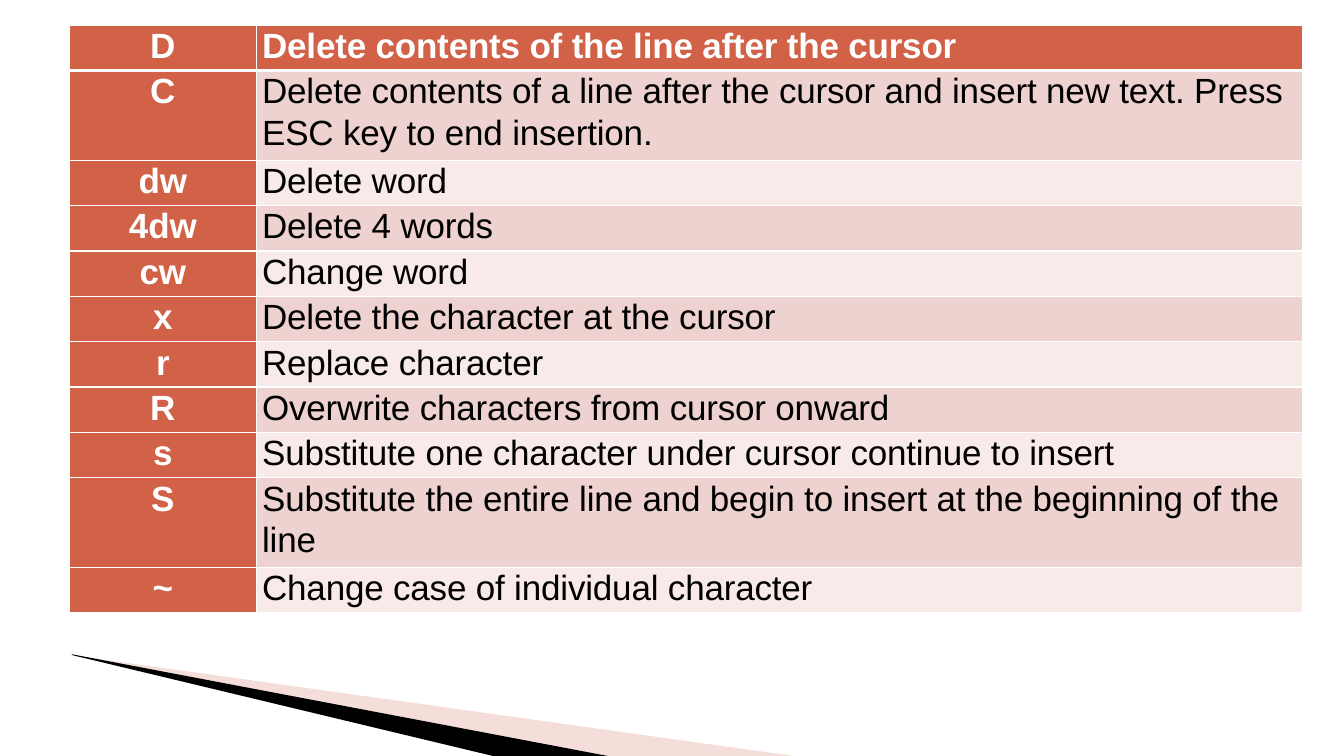
from dataclasses import dataclass

from lxml import etree
from pptx import Presentation
from pptx import util as u
from pptx.dml.color import RGBColor
from pptx.enum import text
from pptx.oxml import ns


@dataclass(frozen=True)
class Theme:
    font: str = "Arial"
    size: float = 25
    line_height: float = 29.1
    tracking: int = -10  # hundredths of a point
    accent: str = "D16248"
    bands: tuple = ("F7EAE9", "EDD2CF")
    white: str = "FFFFFF"
    black: str = "000000"
    wedge: str = "E7ACA3"


THEME = Theme()

# Each command with the lines of its description
COMMANDS = [
    ("D", ["Delete contents of the line after the cursor"]),
    ("C", ["Delete contents of a line after the cursor and insert new text. Press",
           "ESC key to end insertion."]),
    ("dw", ["Delete word"]),
    ("4dw", ["Delete 4 words"]),
    ("cw", ["Change word"]),
    ("x", ["Delete the character at the cursor"]),
    ("r", ["Replace character"]),
    ("R", ["Overwrite characters from cursor onward"]),
    ("s", ["Substitute one character under cursor continue to insert"]),
    ("S", ["Substitute the entire line and begin to insert at the beginning of the",
           "line"]),
    ("~", ["Change case of individual character"]),
]
COLUMN_WIDTHS = (1.85, 10.38)
ROW_HEIGHTS = {1: 0.45, 2: 0.89}  # by number of text lines

# Corner wedges, as closed outlines
PALE_WEDGE = [
    [(0.85, 6.52), (6.03, 7.5), (7.87, 7.5)],
    [(0.73, 6.5), (0.73, 6.51), (0.85, 6.52)],
]
DARK_WEDGE = [[(0.71, 6.49), (0.72, 6.5), (4.89, 7.5), (6.03, 7.5)]]


def set_all(obj, formats):
    for name, value in formats.items():
        setattr(obj, name, value)


def add_wedge(s, outlines, color, opacity=None):
    outlines = [[(u.Inches(x), u.Inches(y)) for x, y in o] for o in outlines]
    builder = s.shapes.build_freeform(*outlines[0][0])
    builder.add_line_segments(outlines[0][1:], close=True)
    for outline in outlines[1:]:
        builder.move_to(*outline[0])
        builder.add_line_segments(outline[1:], close=True)
    sp = builder.convert_to_shape()
    sp.shadow.inherit = False
    sp.line.fill.background()
    sp.fill.solid()
    sp.fill.fore_color.rgb = RGBColor.from_string(color)
    if opacity is not None:
        fill_color = sp.fill._xPr.find(".//" + ns.qn("a:srgbClr"))
        etree.SubElement(fill_color, ns.qn("a:alpha"), val=str(opacity * 1000))


def set_borders(cell, widths):
    tc_pr = cell._tc.get_or_add_tcPr()
    for side in "LRTB":
        ln = etree.SubElement(tc_pr, ns.qn(f"a:ln{side}"),
                              w=str(u.Pt(widths.get(side, 1))))
        fill = etree.SubElement(ln, ns.qn("a:solidFill"))
        etree.SubElement(fill, ns.qn("a:srgbClr"), val=THEME.white)


def fill_cell(cell, lines, fill, color, bold, centered=False):
    set_all(cell, dict.fromkeys(
        ("margin_left", "margin_right", "margin_top", "margin_bottom"), 0))
    cell.fill.solid()
    cell.fill.fore_color.rgb = RGBColor.from_string(fill)
    tf = cell.text_frame
    for i, line in enumerate(lines):
        p = tf.add_paragraph() if i else tf.paragraphs[0]
        if centered:
            p.alignment = text.PP_ALIGN.CENTER
        else:
            p._p.get_or_add_pPr().set("marL", str(u.Inches(0.06)))
        if i:
            p.space_before = u.Pt(2)
        else:
            p.line_spacing = u.Pt(THEME.line_height)
        r = p.add_run()
        r.text = line
        set_all(r.font, {"name": THEME.font, "size": u.Pt(THEME.size), "bold": bold})
        r.font.color.rgb = RGBColor.from_string(color)
        if not centered:
            r._r.get_or_add_rPr().set("spc", str(THEME.tracking))


def add_command_table(s, left, top):
    heights = [ROW_HEIGHTS[len(lines)] for _, lines in COMMANDS]
    frame = s.shapes.add_table(
        len(COMMANDS), len(COLUMN_WIDTHS), u.Inches(left), u.Inches(top),
        u.Inches(sum(COLUMN_WIDTHS)), u.Inches(sum(heights)))
    table = frame.table
    set_all(table, {"first_row": False, "horz_banding": False})
    for column, width in zip(table.columns, COLUMN_WIDTHS):
        column.width = u.Inches(width)
    for i, (command, lines) in enumerate(COMMANDS):
        table.rows[i].height = u.Inches(heights[i])
        key, description = table.rows[i].cells
        for cell in (key, description):
            set_borders(cell, {0: {"B": 3}, 1: {"T": 3}}.get(i, {}))
        fill_cell(key, [command], THEME.accent, THEME.white, True, centered=True)
        if i == 0:
            fill_cell(description, lines, THEME.accent, THEME.white, True)
        else:
            fill_cell(description, lines, THEME.bands[i % 2], THEME.black, False)


def main():
    prs = Presentation()
    set_all(prs, {"slide_width": u.Inches(13.33), "slide_height": u.Inches(7.5)})
    s = prs.slides.add_slide(prs.slide_layouts[6])

    # Corner decoration
    add_wedge(s, PALE_WEDGE, THEME.wedge, opacity=40)
    add_wedge(s, DARK_WEDGE, THEME.black)

    # Editing commands
    add_command_table(s, 0.69, 0.25)

    prs.save("out.pptx")


if __name__ == "__main__":
    main()
